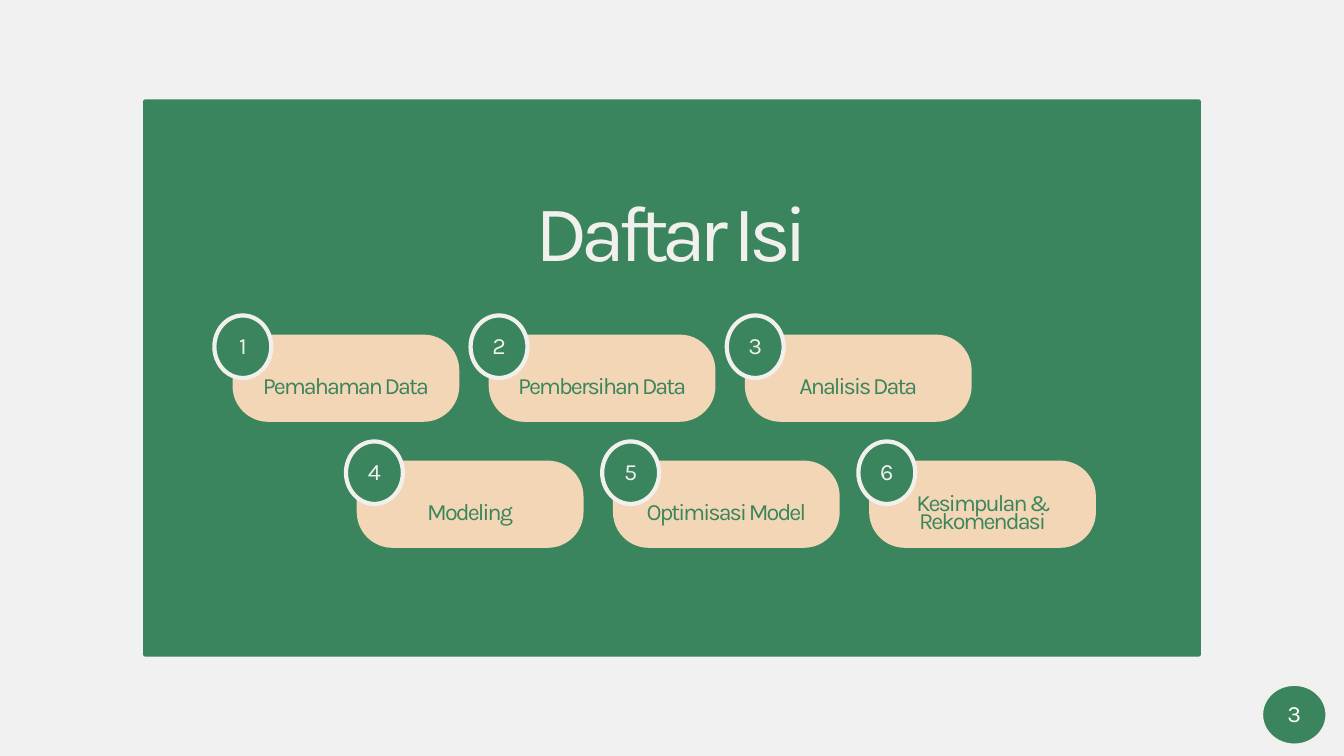
from pptx import Presentation
from pptx.dml.color import RGBColor
from pptx.enum.shapes import MSO_SHAPE
from pptx.enum.text import MSO_ANCHOR, PP_ALIGN
from pptx.util import Pt

ROUND = MSO_SHAPE.ROUNDED_RECTANGLE
OVAL = MSO_SHAPE.OVAL
MIDDLE, TOP = MSO_ANCHOR.MIDDLE, MSO_ANCHOR.TOP
CENTER = PP_ALIGN.CENTER

COLORS = {
    "back": "F1F1F1",
    "green": "3A855D",
    "sand": "F3D6B5",
    "cream": "F1F0EC",
    "white": "FFFFFF",
}
FONT = "Karla"
TITLE = "Daftar Isi"
PAGE = "3"
ROWS = [
    {"left": 249.1, "top": 358.5, "shift": 19.4,
     "topics": ["Pemahaman Data", "Pembersihan Data", "Analisis Data"]},
    {"left": 382.2, "top": 493.5, "shift": 11.5,
     "topics": ["Modeling", "Optimisasi Model", "Kesimpulan & Rekomendasi"]},
]
STEP = 274.5
CARD_W, CARD_H = 243, 93.5
LABEL_DROP = 25.5
BADGE_W, BADGE_H, BADGE_RISE = 61, 67, 20.5


def color(name):
    return RGBColor.from_string(COLORS[name])


def add_shape(slide, kind, box, fill, line=0, curve=None):
    shape = slide.shapes.add_shape(kind, *map(Pt, box))
    shape.shadow.inherit = False
    shape.fill.solid()
    shape.fill.fore_color.rgb = color(fill)
    if line:
        shape.line.color.rgb = color("cream")
        shape.line.width = Pt(line)
    else:
        shape.line.fill.background()
    if curve is not None:
        shape.adjustments[0] = curve


def add_text(slide, text, box, ink, size=25, lead=19.2, track=-2,
             inset=4.3, anchor=MIDDLE):
    frame = slide.shapes.add_textbox(*map(Pt, box)).text_frame
    frame.word_wrap = True
    frame.vertical_anchor = anchor
    frame.margin_left = frame.margin_right = Pt(inset)
    frame.margin_top = frame.margin_bottom = Pt(inset)
    frame.text = text
    para = frame.paragraphs[0]
    para.alignment = CENTER
    para.line_spacing = Pt(lead)
    run = para.runs[0]
    run.font.name = FONT
    run.font.size = Pt(size)
    run.font.color.rgb = color(ink)
    run.font._element.set("spc", str(track * 100))


def add_badge(slide, text, box, ink, line):
    left, top, width, height = box
    add_shape(slide, OVAL, box, "green", line)
    add_text(slide, text, (left + 6, top + 13, width - 12, height - 19), ink)


def main():
    deck = Presentation()
    deck.slide_width, deck.slide_height = Pt(1440), Pt(810)
    slide = deck.slides.add_slide(deck.slide_layouts[6])
    slide.background.fill.solid()
    slide.background.fill.fore_color.rgb = color("back")

    add_shape(slide, ROUND, (153.3, 106.5, 1133.4, 597), "green", curve=0.004)
    add_text(slide, TITLE, (326.6, 215.3, 786.8, 86.4), "cream", size=85,
             lead=81.6, track=-7, inset=0, anchor=TOP)

    number = 1
    for row in ROWS:
        top = row["top"]
        for col, topic in enumerate(row["topics"]):
            left = row["left"] + col * STEP
            add_shape(slide, ROUND, (left, top, CARD_W, CARD_H), "sand",
                      curve=0.41)
            add_text(slide, topic, (left, top + LABEL_DROP, CARD_W,
                                    CARD_H - LABEL_DROP), "green")
            add_badge(slide, str(number),
                      (left - row["shift"], top - BADGE_RISE,
                       BADGE_W, BADGE_H), "cream", 4.5)
            number += 1

    add_badge(slide, PAGE, (1351.5, 733, 70.5, 65.5), "white", 3.75)
    deck.save("out.pptx")


if __name__ == "__main__":
    main()
